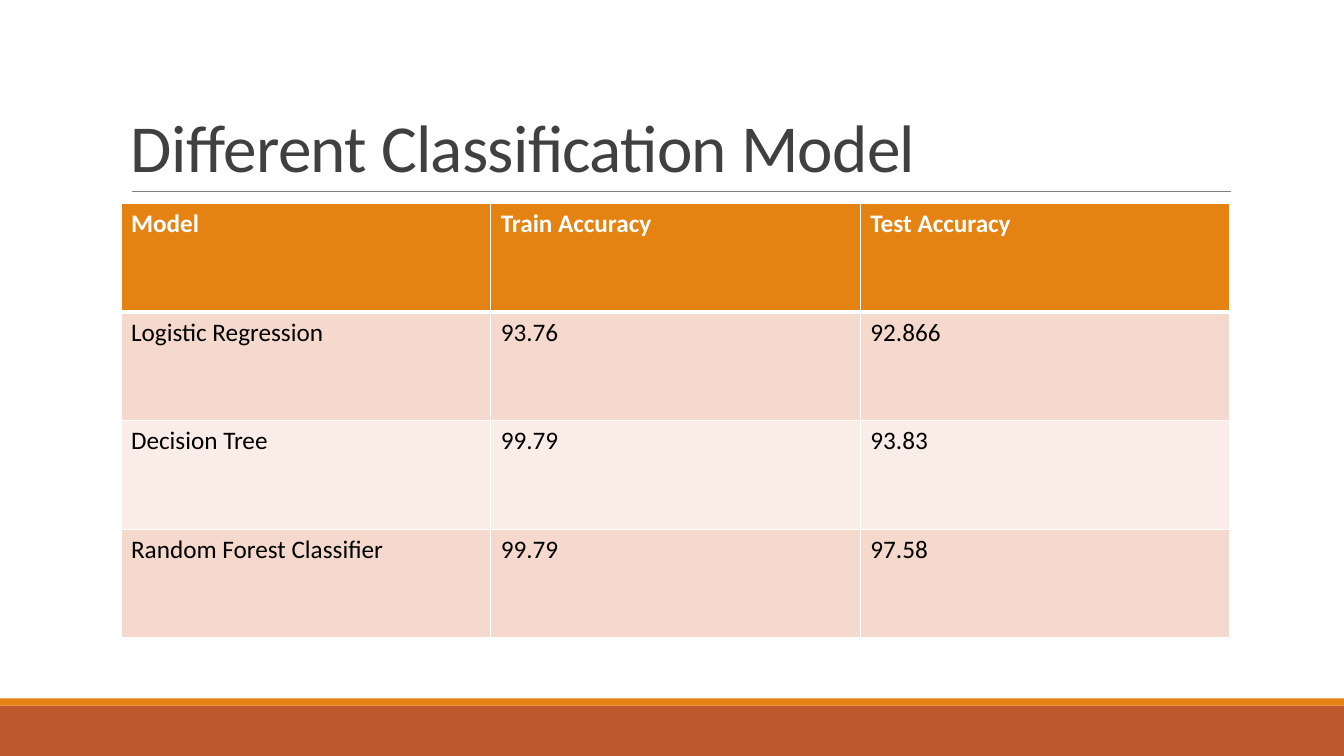
from lxml import etree
from pptx import Presentation
from pptx import util as u
from pptx.dml.color import RGBColor
from pptx.enum import shapes, text
from pptx.oxml import ns

PX = 9144  # 100 px to the inch
HUES = {
    "rust": "BD582C", "amber": "E48312", "rule": "808080",
    "title": "404040", "white": "FFFFFF", "black": "000000",
    "odd": "F5D9CC", "even": "FAEDE7",
}
ROWS = [
    ("Model", "Train Accuracy", "Test Accuracy"),
    ("Logistic Regression", "93.76", "92.866"),
    ("Decision Tree", "99.79", "93.83"),
    ("Random Forest Classifier", "99.79", "97.58"),
]


def px(*vals):
    return [u.Emu(v * PX) for v in vals]


def hue(name):
    return RGBColor.from_string(HUES[name])


def paint(item, name):
    item.fill.solid()
    item.fill.fore_color.rgb = hue(name)


def write(frame, words, color, **form):
    para = frame.paragraphs[0]
    run = para.add_run()
    run.text = words
    run.font.color.rgb = hue(color)
    for key, val in {"name": "Calibri", **form}.items():
        setattr(run.font, key, val)
    return para, run


def add_bar(slide, box, color):
    bar = slide.shapes.add_shape(shapes.MSO_SHAPE.RECTANGLE, *px(*box))
    bar.shadow.inherit = False
    paint(bar, color)
    bar.line.fill.background()


def add_rule(slide, ends):
    rule = slide.shapes.add_connector(shapes.MSO_CONNECTOR.STRAIGHT, *px(*ends))
    rule.line.color.rgb = hue("rule")
    rule.line.width = u.Pt(0.5)
    etree.SubElement(rule._element.spPr, ns.qn("a:effectLst"))


def add_title(slide, box, words):
    frame = slide.shapes.add_textbox(*px(*box)).text_frame
    frame.word_wrap = True
    frame.vertical_anchor = text.MSO_ANCHOR.BOTTOM
    para, run = write(frame, words, "title", size=u.Pt(48))
    para.line_spacing = 0.85
    run._r.get_or_add_rPr().set("spc", "-50")


def edge(cell, widths):
    # Borders come before the fill in the cell properties
    props = cell._tc.get_or_add_tcPr()
    for i, (side, width) in enumerate(widths.items()):
        line = etree.Element(ns.qn(f"a:ln{side}"), w=str(u.Pt(width)))
        fill = etree.SubElement(line, ns.qn("a:solidFill"))
        etree.SubElement(fill, ns.qn("a:srgbClr"), val=HUES["white"])
        props.insert(i, line)


def add_grid(slide, box, rows):
    grid = slide.shapes.add_table(len(rows), len(rows[0]), *px(*box)).table
    for r, row in enumerate(rows):
        head = r == 0
        back = "amber" if head else "odd" if r % 2 else "even"
        for c, words in enumerate(row):
            cell = grid.cell(r, c)
            paint(cell, back)
            edge(cell, {"L": 1, "R": 1, "T": 3 if r == 1 else 1,
                        "B": 3 if head else 1})
            write(cell.text_frame, words, "white" if head else "black",
                  size=u.Pt(18), bold=head)


def main():
    deck = Presentation()
    deck.slide_width, deck.slide_height = px(1333, 750)
    slide = deck.slides.add_slide(deck.slide_layouts[6])

    # Footer bands
    add_bar(slide, (0, 700, 1333, 50), "rust")
    add_bar(slide, (0, 693, 1333, 7), "amber")

    # Heading
    add_rule(slide, (131, 190, 1221, 190))
    add_title(slide, (120, 31, 1100, 159), "Different Classification Model")

    # Accuracy table
    add_grid(slide, (120, 202, 1100, 431), ROWS)

    deck.save("out.pptx")


if __name__ == "__main__":
    main()
